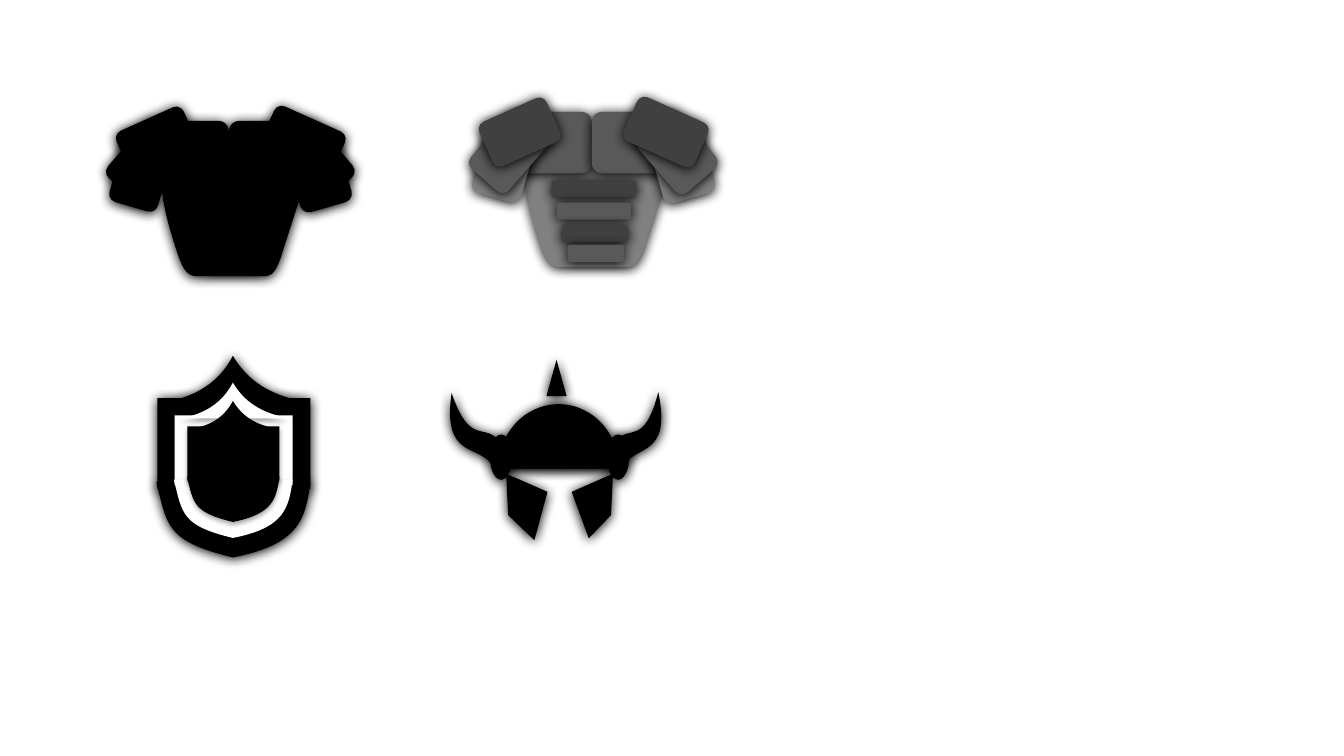
"""Draw two cuirasses, a shield and a horned helmet from grouped shapes."""
import lxml.etree
import pptx
import pptx.dml.color
import pptx.enum.shapes
import pptx.oxml.ns
import pptx.util

Inches = pptx.util.Inches
SHAPE = pptx.enum.shapes.MSO_SHAPE
qn = pptx.oxml.ns.qn
COLOURS = {"black": "000000", "white": "FFFFFF", "light": "808080",
           "middle": "595959", "dark": "404040"}
GLOW = {"alpha": 100, "blur": 8.5, "distance": 1}
INSET = {"alpha": 32, "blur": 3.5, "distance": 2.2}

TORSO = [(1.6, 1.79), (1.6, 1.7, 1.86, 1.71, 1.95, 1.71), (2.62, 1.71),
         (2.71, 1.71, 3.02, 1.73, 3.02, 1.82), (2.78, 2.57),
         (2.74, 2.67, 2.71, 2.74, 2.62, 2.74), (1.95, 2.74),
         (1.86, 2.74, 1.82, 2.67, 1.78, 2.57), (1.7, 2.34, 1.6, 2.02, 1.6, 1.79)]
PLATES = [
    ((1.54, 1.2, 0.73, 0.61), 0, "middle"),
    ((2.27, 1.2, 0.78, 0.61), 0, "middle"),
    ((1.04, 1.45, 0.73, 0.5), 286.1, "light"),
    ((1.08, 1.35, 0.73, 0.5), 310.8, "middle"),
    ((1.19, 1.16, 0.73, 0.48), 335.8, "dark"),
    ((2.79, 1.44, 0.73, 0.53), 73.9, "light"),
    ((2.75, 1.34, 0.73, 0.53), 49.2, "middle"),
    ((2.62, 1.16, 0.77, 0.48), 24.2, "dark"),
    ((1.87, 1.88, 0.84, 0.17), 0, "dark"),
    ((1.92, 2.1, 0.74, 0.17), 0, "middle"),
    ((1.97, 2.32, 0.66, 0.17), 0, "dark"),
    ((2.03, 2.52, 0.56, 0.17), 0, "middle"),
]

SHIELD_CENTRE, SHIELD_TOP = 2.31, 3.95
SHIELD_BODY = (1.56, 3.95, 1.52, 0.9)
SHIELD_CREST = [(1.61, 3.99), (1.84, 3.96, 2.14, 3.86, 2.31, 3.53),
                (2.5, 3.85, 2.77, 3.93, 3.02, 3.99)]
SHIELD_POINT = [(3.08, 4.78), (3.03, 5.14, 2.98, 5.4, 2.31, 5.53),
                (1.65, 5.37, 1.66, 5.22, 1.55, 4.78)]
SHIELD_LAYERS = [(1, 3.95, "black", GLOW), (0.77, 4.12, "white", INSET),
                 (0.6, 4.23, "black", INSET)]

RIGHT_CHEEK = [(6.08, 4.7), (5.67, 4.88), (5.84, 5.34), (6.06, 5.11)]
LEFT_CHEEK = [(5.02, 4.7), (5.43, 4.88), (5.3, 5.36), (5.04, 5.11)]
LEFT_HORN = [(4.89, 4.63), (4.77, 4.4, 4.38, 4.57, 4.48, 3.9),
             (4.66, 4.42, 4.79, 4.2, 4.94, 4.36)]
RIGHT_HORN = [(6.18, 4.64), (6.28, 4.4, 6.67, 4.56, 6.53, 3.89),
              (6.39, 4.43, 6.25, 4.21, 6.11, 4.37)]


class ArmourSlide:
    """Holds the current slide, its open group and the shape style."""

    def __init__(self, presentation):
        self.slide = presentation.slides.add_slide(presentation.slide_layouts[6])
        self.group = None

    def start_group(self):
        """Open a new group for the following shapes."""
        self.group = self.slide.shapes.add_group_shape()

    def style(self, shape, colour, shadow):
        """Fill the shape, hide its line and give it a downward shadow."""
        shape.fill.solid()
        shape.fill.fore_color.rgb = pptx.dml.color.RGBColor.from_string(COLOURS[colour])
        shape.line.fill.background()
        shape.shadow.inherit = False
        effects = shape._element.spPr.find(qn("a:effectLst"))
        outer = lxml.etree.SubElement(
            effects, qn("a:outerShdw"), blurRad=str(pptx.util.Pt(shadow["blur"])),
            dist=str(pptx.util.Pt(shadow["distance"])), dir="5400000",
            algn="ctr", rotWithShape="0")
        tint = lxml.etree.SubElement(outer, qn("a:srgbClr"), val=COLOURS["black"])
        lxml.etree.SubElement(tint, qn("a:alpha"), val=str(shadow["alpha"] * 1000))

    def preset(self, kind, box, colour="black", rotation=0, shadow=GLOW):
        """Add a preset shape to the group."""
        shape = self.group.shapes.add_shape(kind, *map(Inches, box))
        shape.rotation = rotation
        self.style(shape, colour, shadow)
        return shape

    def outline(self, segments, colour="black", shadow=GLOW):
        """Add a closed outline of lines (2 numbers) and cubic curves (6 numbers)."""
        points = [(Inches(x), Inches(y)) for segment in segments
                  for x, y in zip(segment[::2], segment[1::2])]
        builder = self.group.shapes.build_freeform(*points[0])
        builder.add_line_segments(points[1:], close=True)
        shape = builder.convert_to_shape()
        lines = iter(list(shape._element.spPr.iter(qn("a:lnTo"))))
        for segment in segments[1:]:
            controls = [next(lines) for _ in segment[::2]]
            if len(controls) == 3:
                curve = lxml.etree.Element(qn("a:cubicBezTo"))
                controls[0].addprevious(curve)
                for line in controls:
                    curve.append(line[0])
                    line.getparent().remove(line)
        self.style(shape, colour, shadow)

    def cuirass(self, right=0, down=0, flat=None):
        """Draw the body armour, shifted and optionally in one flat colour."""
        self.start_group()
        self.outline([tuple(value + (right, down)[index % 2]
                            for index, value in enumerate(segment))
                      for segment in TORSO], flat or "light")
        for (left, top, width, height), rotation, colour in PLATES:
            self.preset(SHAPE.ROUNDED_RECTANGLE, (left + right, top + down, width, height),
                        flat or colour, rotation)

    def shield(self):
        """Draw the nested shield layers, each scaled about the centre line."""
        self.start_group()
        for scale, top, colour, shadow in SHIELD_LAYERS:
            def place(segment):
                return tuple(top + scale * (value - SHIELD_TOP) if index % 2
                             else SHIELD_CENTRE + scale * (value - SHIELD_CENTRE)
                             for index, value in enumerate(segment))

            left, body_top, width, height = SHIELD_BODY
            self.preset(SHAPE.RECTANGLE, (*place((left, body_top)), width * scale,
                                          height * scale), colour, shadow=shadow)
            for part in (SHIELD_CREST, SHIELD_POINT):
                self.outline([place(segment) for segment in part], colour, shadow)

    def helmet(self):
        """Draw the horned helmet."""
        self.start_group()
        self.outline(RIGHT_CHEEK)
        dome = self.preset(SHAPE.PIE, (4.9, 4.05, 1.28, 1.2), rotation=90)
        dome.adjustments[0], dome.adjustments[1] = 54.08, 162
        self.preset(SHAPE.ISOSCELES_TRIANGLE, (5.42, 3.57, 0.2, 0.36))
        for part in (LEFT_HORN, RIGHT_HORN, LEFT_CHEEK):
            self.outline(part)
        self.preset(SHAPE.RECTANGLE, (4.97, 4.45, 1.15, 0.2))
        self.preset(SHAPE.RECTANGLE, (5.29, 4.16, 0.47, 0.21), rotation=90)
        for left in (4.86, 6.02):
            self.preset(SHAPE.OVAL, (left, 4.31, 0.22, 0.45))


def main():
    """Build and save the slide."""
    presentation = pptx.Presentation()
    presentation.slide_width = Inches(13.33)
    presentation.slide_height = Inches(7.5)
    armour = ArmourSlide(presentation)
    armour.cuirass(flat="black")
    armour.cuirass(right=3.6, down=-0.09)
    armour.helmet()
    armour.shield()
    presentation.save("out.pptx")


if __name__ == "__main__":
    main()
